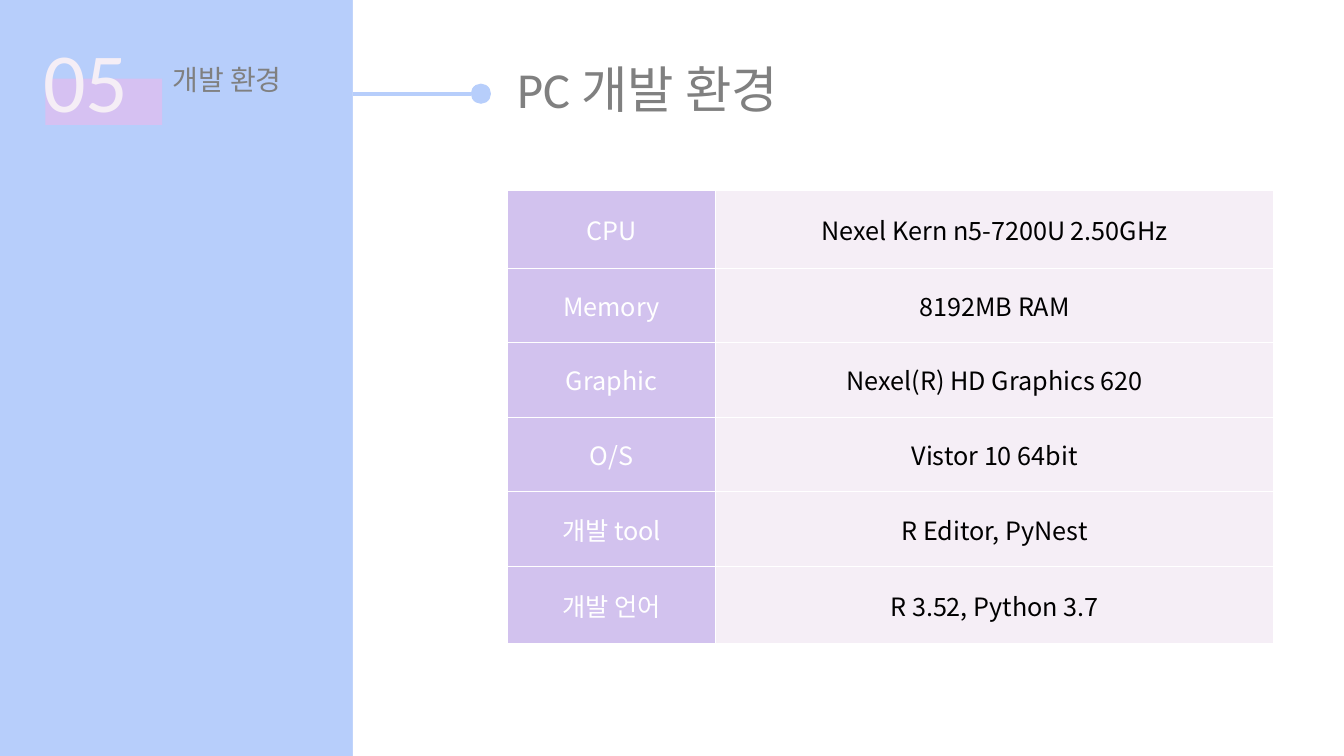
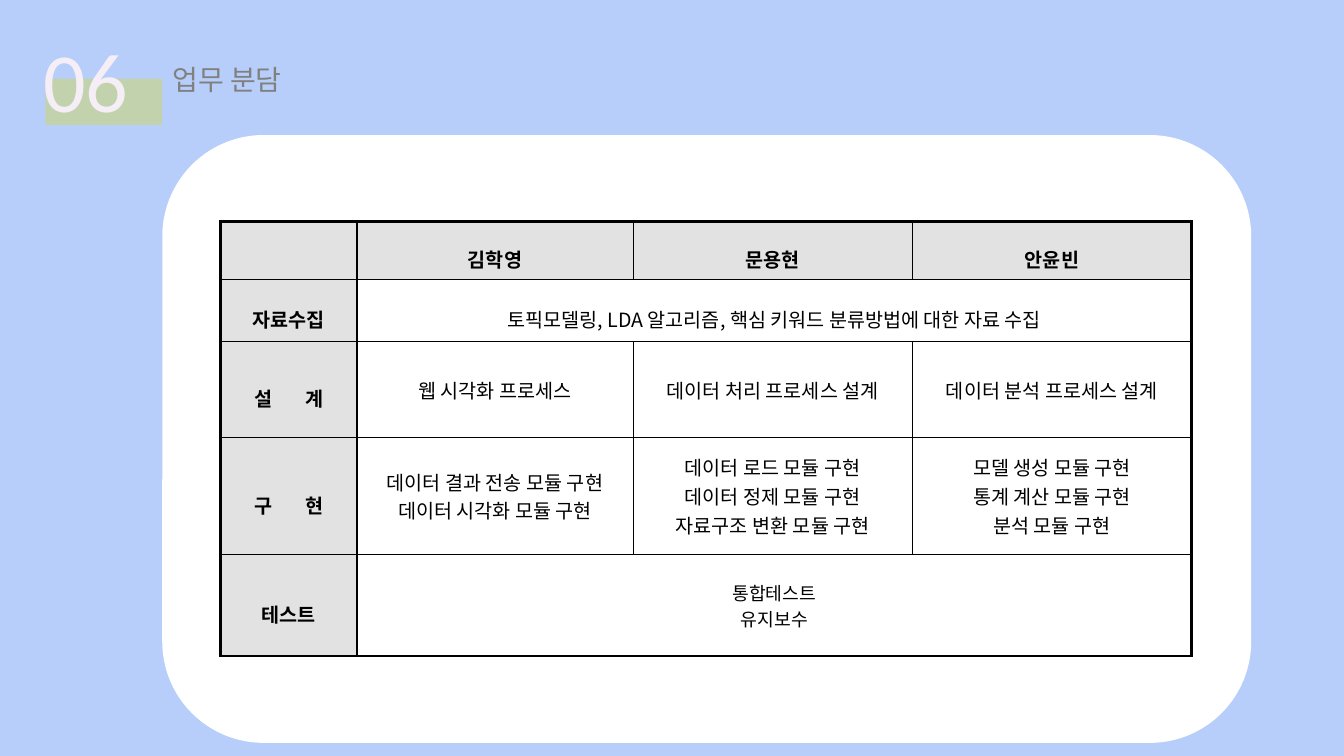
from lxml import etree
from pptx import Presentation
from pptx.dml.color import RGBColor
from pptx.enum import shapes, text
from pptx.oxml import ns
from pptx.util import Inches, Pt

COLORS = {
    "sky": "B7CEFB", "white": "FFFFFF", "black": "000000", "grey": "808080",
    "pale": "F5EEF6", "lilac": "D6C1F2", "violet": "D2C2EE", "sage": "C2D2AC",
    "silver": "E3E2E2",
}
LATIN = "Calibri"
HANGUL = "Noto Sans CJK KR"
CENTER = text.PP_ALIGN.CENTER

ENVIRONMENT = [
    ("CPU", "Nexel Kern n5-7200U 2.50GHz"),
    ("Memory", "8192MB RAM"),
    ("Graphic", "Nexel(R) HD Graphics 620"),
    ("O/S", "Vistor 10 64bit"),
    ("개발 tool", "R Editor, PyNest"),
    ("개발 언어", "R 3.52, Python 3.7"),
]
MEMBERS = ["김학영", "문용현", "안윤빈"]
# Each phase has one entry per member, or a single entry shared by all.
PHASES = [
    ("자료수집", ["토픽모델링, LDA 알고리즘, 핵심 키워드 분류방법에 대한 자료 수집"]),
    ("설 계", ["웹 시각화 프로세스", "데이터 처리 프로세스 설계",
             "데이터 분석 프로세스 설계"]),
    ("구 현", ["데이터 결과 전송 모듈 구현\n데이터 시각화 모듈 구현",
             "데이터 로드 모듈 구현\n데이터 정제 모듈 구현\n자료구조 변환 모듈 구현",
             "모델 생성 모듈 구현\n통계 계산 모듈 구현\n분석 모듈 구현"]),
    ("테스트", ["통합테스트\n유지보수"]),
]


def rgb(name):
    return RGBColor.from_string(COLORS[name])


def add_run(paragraph, words, size, color, font=HANGUL, bold=False, spacing=0):
    """Add one run; spacing is the extra room after each letter, in points."""
    run = paragraph.add_run()
    run.text = words
    run.font.size = Pt(size)
    run.font.bold = bold
    run.font.name = font
    run.font.color.rgb = rgb(color)
    properties = run.font._element
    etree.SubElement(properties, ns.qn("a:ea")).set("typeface", HANGUL)
    if spacing:
        properties.set("spc", str(spacing * 100))


def add_text(slide, box, words, size, color):
    frame = slide.shapes.add_textbox(*map(Inches, box)).text_frame
    frame.word_wrap = True
    add_run(frame.paragraphs[0], words, size, color, LATIN)


def add_block(parent, kind, box, color):
    block = parent.shapes.add_shape(kind, *map(Inches, box))
    block.shadow.inherit = False
    block.fill.solid()
    block.fill.fore_color.rgb = rgb(color)
    block.line.fill.background()


def add_section_slide(deck, number, heading, accent):
    slide = deck.slides.add_slide(deck.slide_layouts[6])
    slide.background.fill.solid()
    slide.background.fill.fore_color.rgb = rgb("sky")
    add_block(slide, shapes.MSO_SHAPE.RECTANGLE, (0.45, 0.78, 1.16, 0.46), accent)
    add_text(slide, (0.33, 0.23, 1.28, 1.11), number, 60, "pale")
    add_text(slide, (1.61, 0.57, 3.38, 0.44), heading, 20, "grey")
    return slide


def add_pin(slide, start, end, y, diameter):
    """Draw a line that runs into a dot whose left side is at end."""
    pin = slide.shapes.add_group_shape()
    stem = pin.shapes.add_connector(
        shapes.MSO_CONNECTOR.STRAIGHT, *map(Inches, (start, y, end, y)))
    stem.line.color.rgb = rgb("sky")
    stem.line.width = Pt(3)
    etree.SubElement(stem._element.spPr, ns.qn("a:effectLst"))
    add_block(pin, shapes.MSO_SHAPE.OVAL,
              (end, y - diameter / 2, diameter, diameter), "sky")


def add_grid(slide, left, top, widths, heights):
    frame = slide.shapes.add_table(
        len(heights), len(widths),
        *map(Inches, (left, top, sum(widths), sum(heights))))
    grid = frame.table
    grid.first_row = grid.horz_banding = False
    for column, width in zip(grid.columns, widths):
        column.width = Inches(width)
    for row, height in zip(grid.rows, heights):
        row.height = Inches(height)
    return grid


def set_borders(grid, color, inner, outer):
    """Rule the grid, with its outer edge as wide as outer."""
    last_row, last_column = len(grid.rows), len(grid.columns)
    for r in range(last_row):
        for c in range(last_column):
            cell = grid.cell(r, c)
            span = cell.span_width if cell.is_merge_origin else 1
            edges = {"L": c == 0, "R": c + span == last_column,
                     "T": r == 0, "B": r + 1 == last_row}
            properties = cell._tc.get_or_add_tcPr()
            for side, is_outer in edges.items():
                line = etree.SubElement(properties, ns.qn(f"a:ln{side}"))
                line.set("w", str(Pt(outer if is_outer else inner)))
                fill = etree.SubElement(line, ns.qn("a:solidFill"))
                etree.SubElement(fill, ns.qn("a:srgbClr")).set("val", COLORS[color])


def fill_cell(cell, fill, words="", size=14, color="black", bold=False,
              line_spacing=None, gap=0):
    """Write centred lines; gap widens the space inside a two-letter label."""
    cell.fill.solid()
    cell.fill.fore_color.rgb = rgb(fill)
    cell.vertical_anchor = text.MSO_ANCHOR.MIDDLE
    frame = cell.text_frame
    for index, line in enumerate(words.split("\n") if words else []):
        paragraph = frame.add_paragraph() if index else frame.paragraphs[0]
        paragraph.alignment = CENTER
        if line_spacing:
            paragraph.line_spacing = line_spacing
        head, space, tail = line.partition(" ") if gap else ("", "", line)
        if space:
            add_run(paragraph, head + space, size, color, bold=bold, spacing=gap)
        add_run(paragraph, tail or head, size, color, bold=bold)


def add_environment_table(slide):
    grid = add_grid(slide, 5.03, 1.89, [2.07, 5.53], [0.77] + [0.74] * 4 + [0.77])
    set_borders(grid, "white", 1, 1)
    for r, (item, value) in enumerate(ENVIRONMENT):
        fill_cell(grid.cell(r, 0), "violet", item, 18, "white")
        fill_cell(grid.cell(r, 1), "pale", value, 18)


def add_duty_table(slide):
    grid = add_grid(slide, 2.19, 2.2, [1.35, 2.74, 2.77, 2.77],
                    [0.57, 0.62, 0.95, 1.16, 1.01])
    shared = [r for r, (_, duties) in enumerate(PHASES, 1) if len(duties) == 1]
    for r in shared:
        grid.cell(r, 1).merge(grid.cell(r, len(MEMBERS)))
    set_borders(grid, "black", 1, 2.25)

    heading = {"bold": True, "line_spacing": 1.6}
    fill_cell(grid.cell(0, 0), "silver")
    for c, member in enumerate(MEMBERS, 1):
        fill_cell(grid.cell(0, c), "silver", member, **heading)
    for r, (phase, duties) in enumerate(PHASES, 1):
        fill_cell(grid.cell(r, 0), "silver", phase, gap=10, **heading)
        size = 13 if r == len(PHASES) else 14
        spacing = 1.6 if r == 1 else None
        for c, duty in enumerate(duties, 1):
            fill_cell(grid.cell(r, c), "white", duty, size, line_spacing=spacing)


def build_environment(deck):
    slide = add_section_slide(deck, "05", "개발 환경", "lilac")
    add_block(slide, shapes.MSO_SHAPE.RECTANGLE, (3.5, 0, 9.83, 7.5), "white")
    add_pin(slide, 3.5, 4.67, 0.93, 0.2)
    add_environment_table(slide)
    add_text(slide, (5.03, 0.53, 3.38, 0.71), "PC 개발 환경", 36, "grey")


def build_duties(deck):
    slide = add_section_slide(deck, "06", "업무 분담", "sage")
    add_block(slide, shapes.MSO_SHAPE.ROUNDED_RECTANGLE,
              (1.61, 1.34, 10.8, 6.03), "white")
    add_duty_table(slide)


def main():
    deck = Presentation()
    deck.slide_width = Inches(13.33)
    deck.slide_height = Inches(7.5)
    build_environment(deck)
    build_duties(deck)
    deck.save("out.pptx")


if __name__ == "__main__":
    main()
